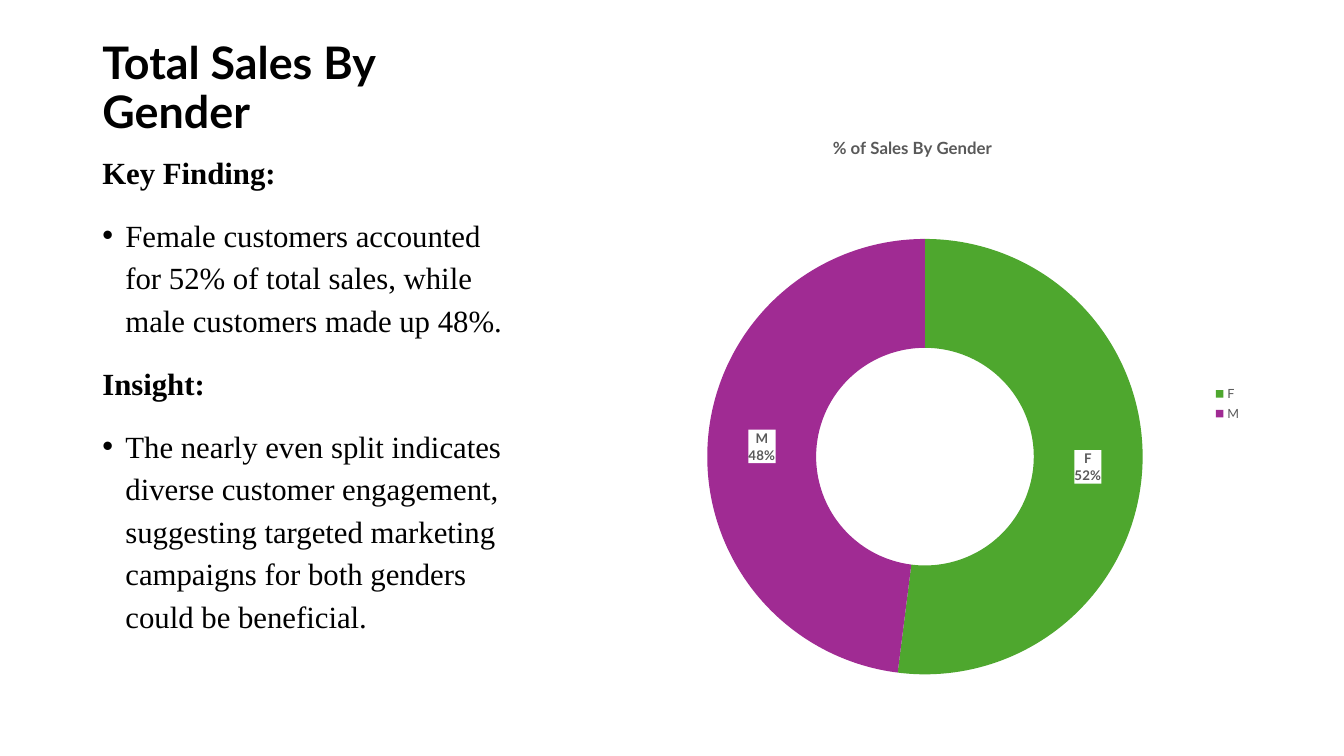
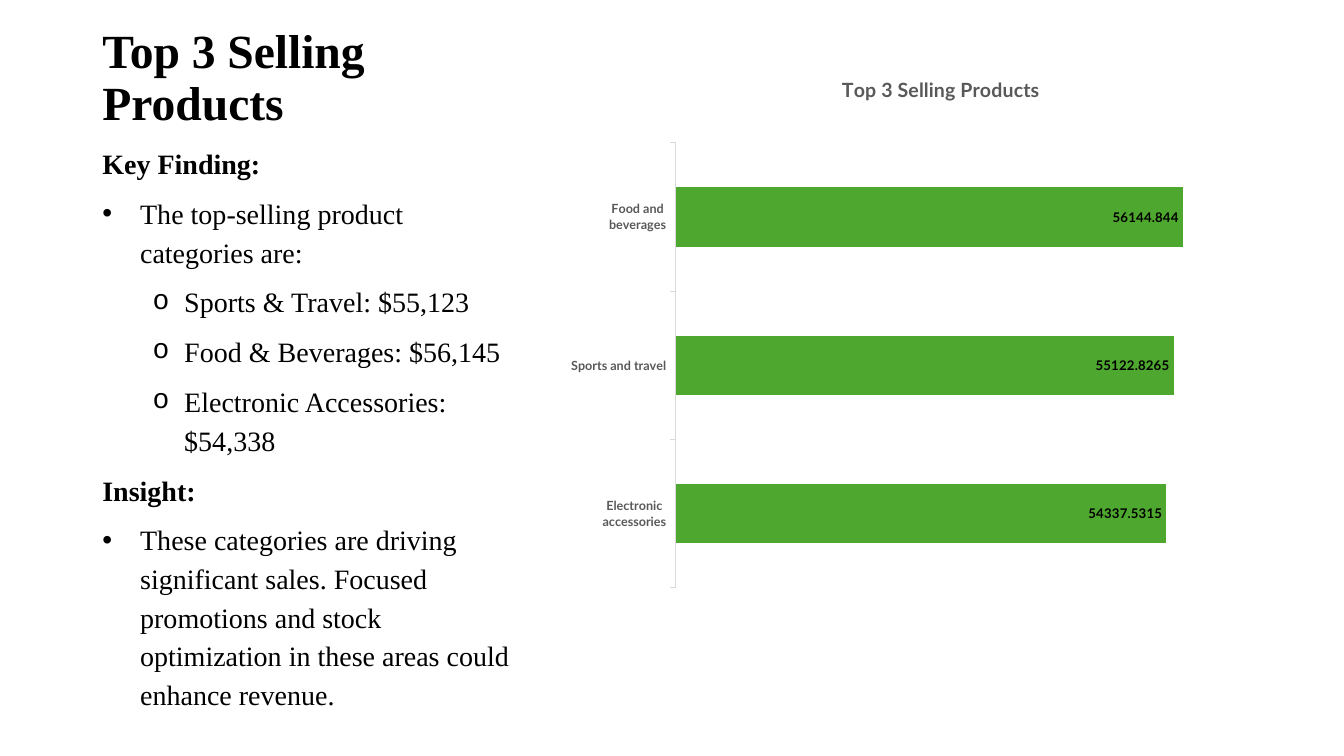
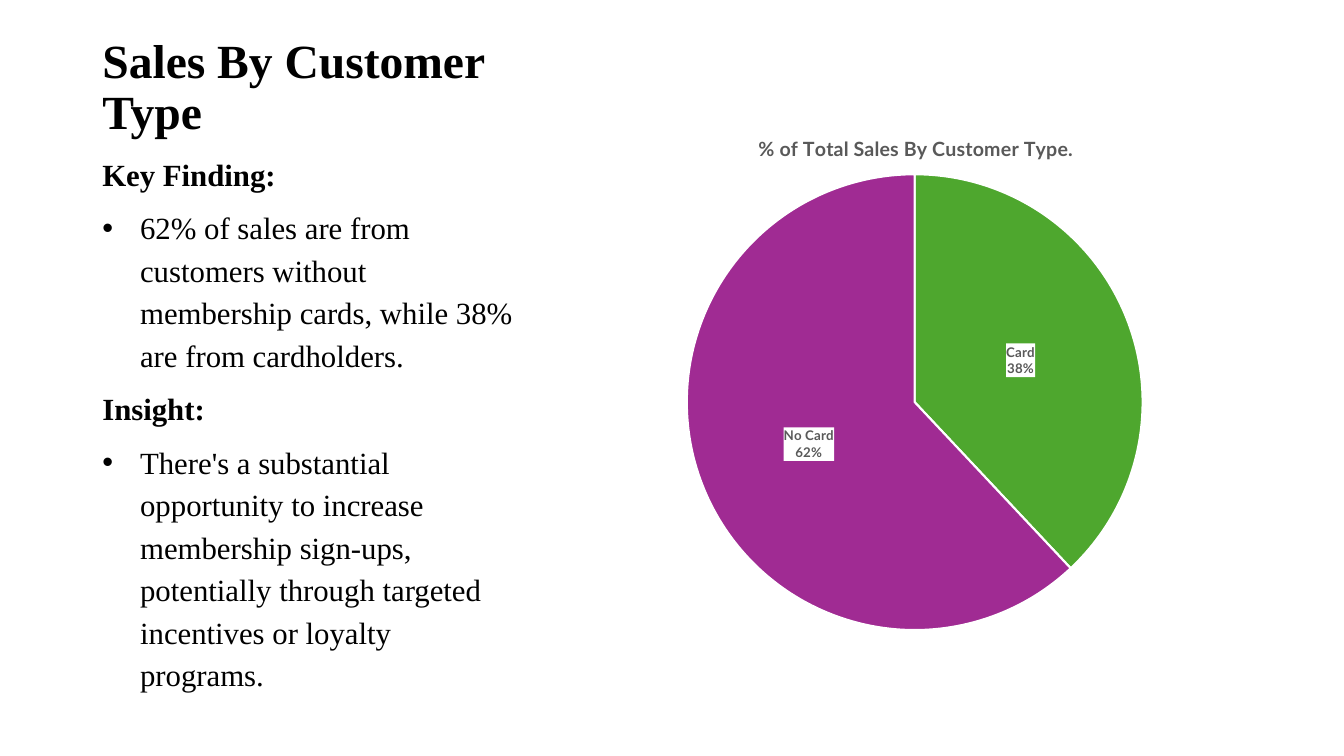
from dataclasses import dataclass
from typing import Any, NamedTuple, Optional

from lxml import etree
from pptx import Presentation
from pptx import util as u
from pptx.chart import data as chart_data
from pptx.dml.color import RGBColor
from pptx.enum import chart as ch
from pptx.enum import text as tx
from pptx.oxml.ns import qn

PX = 9525
SLIDE_WIDTH, SLIDE_HEIGHT = 1280, 720
LEFT, TEXT_WIDTH = 88, 413
CHART_LEFT, CHART_WIDTH = 544, 648

BLACK = RGBColor(0x00, 0x00, 0x00)
WHITE = RGBColor(0xFF, 0xFF, 0xFF)
GRAY = RGBColor(0x59, 0x59, 0x59)
RULE = RGBColor(0xD9, 0xD9, 0xD9)
GREEN = RGBColor(0x4E, 0xA7, 0x2E)
PURPLE = RGBColor(0xA0, 0x2B, 0x93)

SERIF = "Times New Roman"
SANS = "Lato"
TITLE_ONLY = 5


class Box(NamedTuple):
    left: int
    top: int
    width: int
    height: int

    def emu(self) -> list[int]:
        return [value * PX for value in self]


class Bullet(NamedTuple):
    mark: str
    font: str
    margin: int
    hang: int
    level: int = 0


TIGHT_DOT = Bullet("•", "Arial", 22, 22)
DOT = Bullet("•", "Arial", 36, 36)
RING = Bullet("o", "Courier New", 78, 30, 1)


class Line(NamedTuple):
    text: str
    bullet: Optional[Bullet] = None


class Heading(NamedTuple):
    text: str
    box: Box
    size: int
    font: str = SERIF


class Body(NamedTuple):
    box: Box
    size: int
    lines: list[Line]
    before: float = 0
    after: float = 8


@dataclass
class Graph:
    kind: Any
    box: Box
    title: str
    title_size: int
    title_at: tuple[float, float]
    plot_at: tuple[float, float, float, float]
    values: dict[str, float]
    legend: bool = False
    slice_border: bool = False


class Page(NamedTuple):
    heading: Heading
    body: Body
    graph: Graph


PAGES = [
    Page(
        Heading("Total Sales By Gender", Box(LEFT, 48, TEXT_WIDTH, 88), 32, SANS),
        Body(Box(LEFT, 136, TEXT_WIDTH, 512), 22, [
            Line("Key Finding:"),
            Line("Female customers accounted for 52% of total sales, while male "
                 "customers made up 48%.", TIGHT_DOT),
            Line("Insight:"),
            Line("The nearly even split indicates diverse customer engagement, suggesting "
                 "targeted marketing campaigns for both genders could be beneficial.",
                 TIGHT_DOT),
        ], before=10, after=4.8),
        Graph(ch.XL_CHART_TYPE.DOUGHNUT, Box(CHART_LEFT, 104, CHART_WIDTH, 561),
              "% of Sales By Gender", 12, (0.38, 0.04), (0.2, 0.22, 0.64, 0.74),
              {"F": 52, "M": 48}, legend=True),
    ),
    Page(
        Heading("Top 3 Selling Products", Box(LEFT, 38, TEXT_WIDTH, 91), 34),
        Body(Box(LEFT, 130, TEXT_WIDTH, 522), 20, [
            Line("Key Finding:"),
            Line("The top-selling product categories are:", DOT),
            Line("Sports & Travel: $55,123", RING),
            Line("Food & Beverages: $56,145", RING),
            Line("Electronic Accessories: $54,338", RING),
            Line("Insight:"),
            Line("These categories are driving significant sales. Focused promotions and "
                 "stock optimization in these areas could enhance revenue.", DOT),
        ]),
        Graph(ch.XL_CHART_TYPE.BAR_CLUSTERED, Box(CHART_LEFT, 38, CHART_WIDTH, 614),
              "Top 3 Selling Products", 14, (0.39, 0.05), (0.15, 0.16, 0.8, 0.69),
              {"Electronic accessories": 54337.5315, "Sports and travel": 55122.8265,
               "Food and beverages": 56144.844}),
    ),
    Page(
        Heading("Sales By Customer Type", Box(LEFT, 48, 456, 90), 34),
        Body(Box(LEFT, 138, TEXT_WIDTH, 534), 22, [
            Line("Key Finding:"),
            Line("62% of sales are from customers without membership cards, while 38% "
                 "are from cardholders.", DOT),
            Line("Insight:"),
            Line("There's a substantial opportunity to increase membership sign-ups, "
                 "potentially through targeted incentives or loyalty programs.", DOT),
        ]),
        Graph(ch.XL_CHART_TYPE.PIE, Box(CHART_LEFT, 104, CHART_WIDTH, 512),
              "% of Total Sales By Customer Type.", 14, (0.27, 0.04),
              (0.17, 0.12, 0.67, 0.85), {"Card": 38, "No Card": 62}, slice_border=True),
    ),
]


def assign(target: Any, values: dict[str, Any]) -> None:
    for name, value in values.items():
        setattr(target, name, value)


def style_font(font: Any, size: float, color: RGBColor, bold: bool, name: str = SANS) -> None:
    assign(font, {"size": u.Pt(size), "bold": bold, "name": name})
    font.color.rgb = color


def add_heading(slide: Any, heading: Heading) -> None:
    title = slide.shapes.title
    assign(title, dict(zip(("left", "top", "width", "height"), heading.box.emu())))
    frame = title.text_frame
    assign(frame, {"text": heading.text, "word_wrap": True,
                   "auto_size": tx.MSO_AUTO_SIZE.NONE,
                   "vertical_anchor": tx.MSO_ANCHOR.BOTTOM})
    para = frame.paragraphs[0]
    assign(para, {"alignment": tx.PP_ALIGN.LEFT, "line_spacing": 0.9})
    style_font(para.runs[0].font, heading.size, BLACK, True, heading.font)


def set_bullet(para: Any, bullet: Bullet) -> None:
    para.level = bullet.level
    props = para._p.get_or_add_pPr()
    props.set("marL", str(bullet.margin * PX))
    props.set("indent", str(-bullet.hang * PX))
    etree.SubElement(props, qn("a:buFont"), typeface=bullet.font)
    etree.SubElement(props, qn("a:buChar"), char=bullet.mark)


def add_body(slide: Any, body: Body) -> None:
    frame = slide.shapes.add_textbox(*body.box.emu()).text_frame
    frame.word_wrap = True
    for index, line in enumerate(body.lines):
        para = frame.add_paragraph() if index else frame.paragraphs[0]
        assign(para, {"line_spacing": 1.15, "space_before": u.Pt(body.before),
                      "space_after": u.Pt(body.after)})
        if line.bullet:
            set_bullet(para, line.bullet)
        span = para.add_run()
        span.text = line.text
        style_font(span.font, body.size, BLACK, line.bullet is None, SERIF)


def place(part: Any, index: int, fractions: tuple[float, ...], inner: bool = False) -> None:
    for old in part.findall(qn("c:layout")):
        part.remove(old)
    layout = etree.Element(qn("c:layout"))
    manual = etree.SubElement(layout, qn("c:manualLayout"))
    settings = [("layoutTarget", "inner")] if inner else []
    settings += [("xMode", "edge"), ("yMode", "edge")]
    settings += zip("xywh", map(str, fractions))
    for tag, value in settings:
        etree.SubElement(manual, qn(f"c:{tag}"), val=value)
    part.insert(index, layout)


def format_slices(series: Any, labels: Any, graph: Graph) -> None:
    for index, color in enumerate((GREEN, PURPLE)):
        look = series.points[index].format
        look.fill.solid()
        look.fill.fore_color.rgb = color
        if graph.slice_border:
            look.line.color.rgb = WHITE
            look.line.width = u.Pt(1.5)
        else:
            look.line.fill.background()
    assign(labels, {"show_value": False, "show_percentage": True,
                    "show_category_name": True, "number_format": "0%",
                    "number_format_is_linked": False})
    if graph.kind == ch.XL_CHART_TYPE.PIE:
        labels.position = ch.XL_LABEL_POSITION.CENTER
    style_font(labels.font, 9.5, GRAY, True)
    root = labels._element
    backing = etree.Element(qn("c:spPr"))
    fill = etree.SubElement(backing, qn("a:solidFill"))
    etree.SubElement(fill, qn("a:srgbClr"), val=str(WHITE))
    root.find(qn("c:txPr")).addprevious(backing)
    separator = etree.Element(qn("c:separator"))
    separator.text = "\n"
    flags = [child for child in root
             if child.tag in (qn("c:showPercent"), qn("c:showBubbleSize"))]
    flags[-1].addnext(separator)


def format_bars(chart: Any, series: Any, labels: Any) -> None:
    series.format.fill.solid()
    series.format.fill.fore_color.rgb = GREEN
    assign(labels, {"show_value": True, "number_format": "General",
                    "number_format_is_linked": False,
                    "position": ch.XL_LABEL_POSITION.INSIDE_END})
    style_font(labels.font, 9.5, BLACK, True)
    chart.plots[0].gap_width = 150
    assign(chart.value_axis, {"visible": False, "has_major_gridlines": False,
                              "minimum_scale": 0, "maximum_scale": 60000})
    axis = chart.category_axis
    assign(axis, {"has_major_gridlines": False,
                  "major_tick_mark": ch.XL_TICK_MARK.OUTSIDE})
    axis.format.line.color.rgb = RULE
    axis.format.line.width = u.Pt(0.75)
    style_font(axis.tick_labels.font, 9, GRAY, True)


def add_graph(slide: Any, graph: Graph) -> None:
    data = chart_data.CategoryChartData()
    data.categories = list(graph.values)
    data.add_series("Series 1", list(graph.values.values()))
    chart = slide.shapes.add_chart(graph.kind, *graph.box.emu(), data).chart
    style_font(chart.font, 10, BLACK, False)
    assign(chart, {"has_title": True, "has_legend": graph.legend})
    title = chart.chart_title
    title.text_frame.text = graph.title
    span = title.text_frame.paragraphs[0].runs[0]
    style_font(span.font, graph.title_size, GRAY, True)
    place(title._element, 1, graph.title_at)
    place(chart._chartSpace.find(".//" + qn("c:plotArea")), 0, graph.plot_at, inner=True)
    if graph.legend:
        assign(chart.legend, {"position": ch.XL_LEGEND_POSITION.RIGHT,
                              "include_in_layout": False})
        style_font(chart.legend.font, 9, GRAY, False)
    plot = chart.plots[0]
    series = plot.series[0]
    labels = series.data_labels
    is_bar = graph.kind == ch.XL_CHART_TYPE.BAR_CLUSTERED
    plot.vary_by_categories = not is_bar
    if is_bar:
        format_bars(chart, series, labels)
    else:
        format_slices(series, labels, graph)


def main() -> None:
    deck = Presentation()
    assign(deck, {"slide_width": SLIDE_WIDTH * PX, "slide_height": SLIDE_HEIGHT * PX})
    for page in PAGES:
        slide = deck.slides.add_slide(deck.slide_layouts[TITLE_ONLY])
        add_heading(slide, page.heading)
        add_body(slide, page.body)
        add_graph(slide, page.graph)
    deck.save("out.pptx")


if __name__ == "__main__":
    main()
